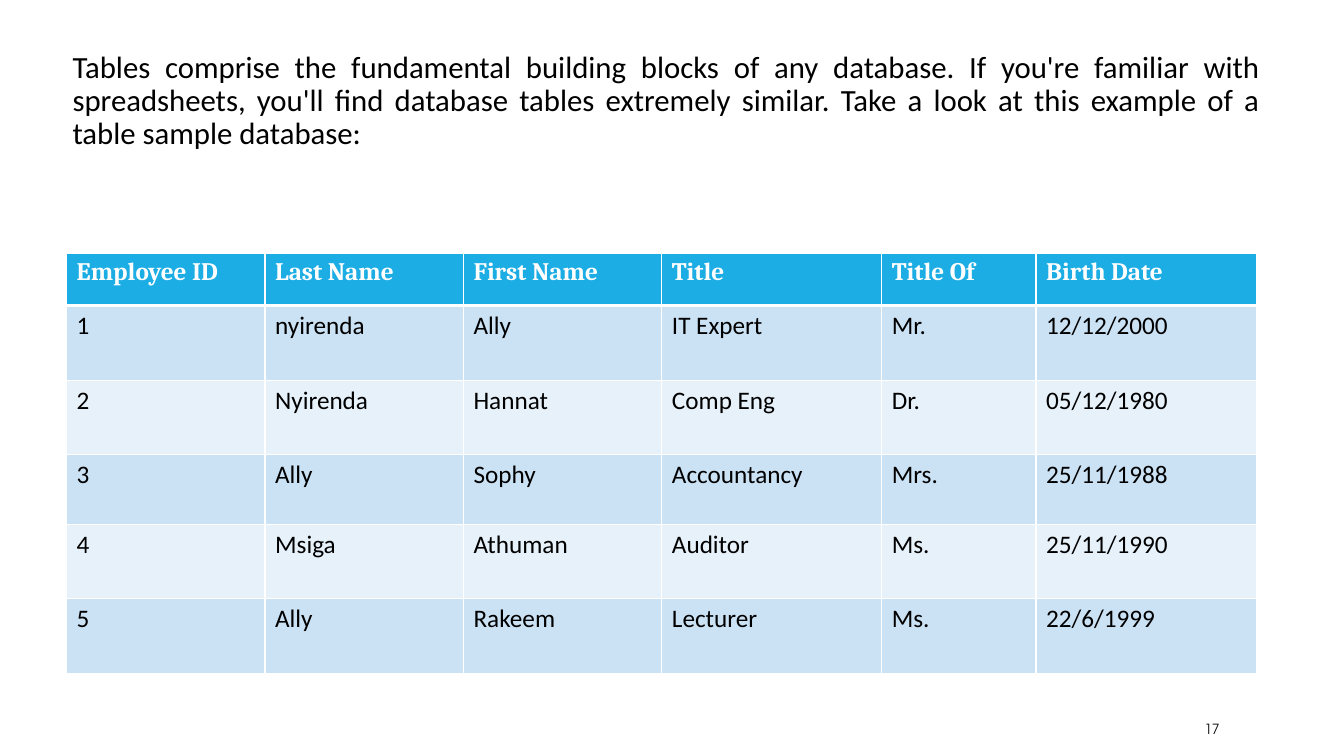
from lxml import etree
from pptx import Presentation
from pptx.dml.color import RGBColor
from pptx.enum.text import MSO_ANCHOR, PP_ALIGN
from pptx.oxml.ns import qn
from pptx.util import Cm, Pt

JUSTIFY = PP_ALIGN.JUSTIFY
LEFT = PP_ALIGN.LEFT
TOP = MSO_ANCHOR.TOP
MIDDLE = MSO_ANCHOR.MIDDLE

WHITE, BLACK, DARK = "FFFFFF", "000000", "0C0C0C"
HEADER_BLUE = "1CADE4"
BANDS = ("CBE2F5", "E7F1FA")

INTRO = (
    "Tables comprise the fundamental building blocks of any database. "
    "If you're familiar with spreadsheets, you'll find database tables "
    "extremely similar. Take a look at this example of a table sample database: "
)
EMPLOYEES = [
    ("Employee ID", "Last Name", "First Name", "Title", "Title Of", "Birth Date"),
    ("1", "nyirenda", "Ally", "IT Expert", "Mr.", "12/12/2000"),
    ("2", "Nyirenda", "Hannat", "Comp Eng", "Dr.", "05/12/1980"),
    ("3", "Ally", "Sophy", "Accountancy", "Mrs.", "25/11/1988"),
    ("4", "Msiga", "Athuman", "Auditor", "Ms.", "25/11/1990"),
    ("5", "Ally", "Rakeem", "Lecturer", "Ms.", "22/6/1999"),
]
COLUMN_WIDTHS = (5, 5, 5, 5.54, 3.89, 5.56)
ROW_HEIGHTS = (1.32, 1.88, 1.88, 1.75, 1.88, 1.88)


def color(value):
    return RGBColor.from_string(value)


def format_text(frame, font, size, ink, bold=False):
    for para in frame.paragraphs:
        for span in para.runs:
            span.font.name = font
            span.font.size = Pt(size)
            span.font.bold = bold
            span.font.color.rgb = color(ink)


def add_text(page, box, text, anchor, align):
    """Add a wrapping text box; box is left, top, width, height in cm."""
    frame = page.shapes.add_textbox(*map(Cm, box)).text_frame
    frame.word_wrap = True
    frame.vertical_anchor = anchor
    frame.text = text
    frame.paragraphs[0].alignment = align
    return frame


def add_intro(page, box):
    frame = add_text(page, box, INTRO, TOP, JUSTIFY)
    frame.margin_left = Cm(0.38)
    frame.margin_right = frame.margin_top = frame.margin_bottom = Cm(0.13)
    frame.paragraphs[0].line_spacing = 0.9
    format_text(frame, "Calibri", 22, BLACK)


def add_page_number(page, box):
    frame = add_text(page, box, "17", MIDDLE, LEFT)
    format_text(frame, "TeX Gyre Adventor", 10, DARK)


def set_borders(cell, top, bottom):
    """Draw white cell borders; top and bottom are widths in points."""
    properties = cell._tc.get_or_add_tcPr()
    for side, width in (("L", 1), ("R", 1), ("T", top), ("B", bottom)):
        line = etree.SubElement(properties, qn(f"a:ln{side}"), w=str(Pt(width)))
        fill = etree.SubElement(line, qn("a:solidFill"))
        etree.SubElement(fill, qn("a:srgbClr"), val=WHITE)


def add_employee_table(page, box):
    table = page.shapes.add_table(
        len(ROW_HEIGHTS), len(COLUMN_WIDTHS), *map(Cm, box)
    ).table
    for column, width in zip(table.columns, COLUMN_WIDTHS):
        column.width = Cm(width)
    for row_index, (row, height) in enumerate(zip(table.rows, ROW_HEIGHTS)):
        row.height = Cm(height)
        is_header = row_index == 0
        for cell, text in zip(row.cells, EMPLOYEES[row_index]):
            cell.text = text
            set_borders(cell, 3 if row_index == 1 else 1, 3 if is_header else 1)
            cell.fill.solid()
            if is_header:
                cell.fill.fore_color.rgb = color(HEADER_BLUE)
                format_text(cell.text_frame, "Cambria", 18, WHITE, True)
            else:
                cell.fill.fore_color.rgb = color(BANDS[(row_index - 1) % 2])
                format_text(cell.text_frame, "Calibri", 18, BLACK)


def main():
    deck = Presentation()
    deck.slide_width, deck.slide_height = Cm(33.87), Cm(19.05)
    page = deck.slides.add_slide(deck.slide_layouts[6])
    add_page_number(page, (30.1, 17.98, 2.69, 0.76))
    add_intro(page, (1.45, 1.17, 30.43, 15.6))
    add_employee_table(page, (1.68, 6.38, sum(COLUMN_WIDTHS), sum(ROW_HEIGHTS)))
    deck.save("out.pptx")


if __name__ == "__main__":
    main()
